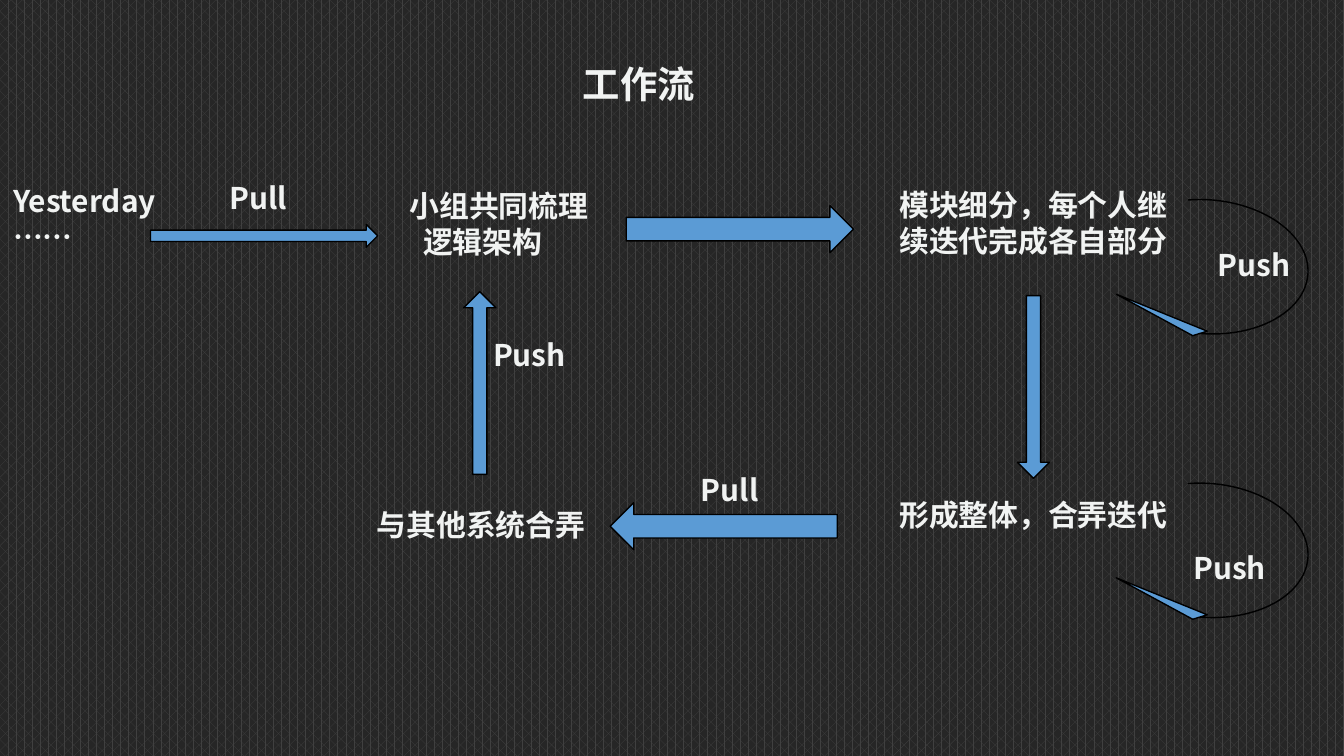
from lxml import etree
from pptx import Presentation
from pptx import util as u
from pptx.dml import color
from pptx.enum import dml, shapes, text
from pptx.oxml import ns

COLORS = {"text": "F1F3F2", "arrow": "5B9BD5", "outline": "000000",
          "weave": "404040", "ground": "262626"}
FONT = "Noto Sans CJK SC"
LABEL_WIDTH = 2.26
ONE_LINE, TWO_LINES = 0.37, 0.64
LOOP_ADJUSTMENTS = (0, 40.587, 0.645, 96.427, 0.051)
SLIM_ADJUSTMENTS = (0.442, 0.5)


def rgb(name):
    return color.RGBColor.from_string(COLORS[name])


def add_text(page, left, top, lines, width=LABEL_WIDTH, height=ONE_LINE, size=16,
             centred=True, middle=False, indents=()):
    box = page.shapes.add_textbox(*map(u.Inches, (left, top, width, height)))
    frame = box.text_frame
    frame.word_wrap = True
    frame.auto_size = text.MSO_AUTO_SIZE.NONE if middle else text.MSO_AUTO_SIZE.SHAPE_TO_FIT_TEXT
    frame.vertical_anchor = text.MSO_ANCHOR.MIDDLE if middle else text.MSO_ANCHOR.TOP
    for index, line in enumerate(lines):
        para = frame.add_paragraph() if index else frame.paragraphs[0]
        para.alignment = text.PP_ALIGN.CENTER if centred else text.PP_ALIGN.LEFT
        if index < len(indents):
            para._p.get_or_add_pPr().set("marL", str(u.Inches(indents[index])))
        span = para.add_run()
        span.text = line
        span.font.name = FONT
        span.font.size = u.Pt(size)
        span.font.bold = True
        span.font.color.rgb = rgb("text")
        etree.SubElement(span._r.get_or_add_rPr(), ns.qn("a:ea")).set("typeface", FONT)


def add_arrow(page, left, top, width, height, rotation=0, adjustments=(),
              kind=shapes.MSO_SHAPE.RIGHT_ARROW):
    arrow = page.shapes.add_shape(kind, *map(u.Inches, (left, top, width, height)))
    arrow.shadow.inherit = False
    arrow.rotation = rotation
    for index, value in enumerate(adjustments):
        arrow.adjustments[index] = value
    arrow.fill.solid()
    arrow.fill.fore_color.rgb = rgb("arrow")
    arrow.line.color.rgb = rgb("outline")
    arrow.line.width = u.Pt(0.75)


def paint_background(page):
    fill = page.background.fill
    fill.patterned()
    fill.pattern = dml.MSO_PATTERN.PERCENT_60
    fill.fore_color.rgb = rgb("weave")
    fill.back_color.rgb = rgb("ground")


def add_start(page, left, top):
    add_text(page, left, top, ["Yesterday", "……"], height=TWO_LINES, centred=False)
    add_arrow(page, left + 1.12, top + 0.36, 1.69, 0.17)
    add_text(page, left + 1.61, top - 0.02, ["Pull"], centred=False)


def add_cycle(page, left, top):
    add_text(page, left + 0.5, top + 0.01, ["小组共同梳理", "逻辑架构"],
             height=TWO_LINES, centred=False, indents=(0, 0.1))
    add_text(page, left + 4.11, top, ["模块细分，每个人继续迭代完成各自部分"], height=TWO_LINES)
    add_text(page, left + 4.11, top + 2.31, ["形成整体，合弄迭代"])
    add_text(page, left, top + 2.38, ["与其他系统合弄"])
    add_arrow(page, left + 2.21, top + 0.19, 1.69, 0.35)
    add_arrow(page, left + 4.56, top + 1.42, 1.36, 0.24, 90, SLIM_ADJUSTMENTS)
    add_arrow(page, left + 2.09, top + 2.4, 1.69, 0.35, 180)
    add_arrow(page, left + 0.44, top + 1.39, 1.36, 0.24, 270, SLIM_ADJUSTMENTS)
    add_text(page, left + 1.85, top + 2.12, ["Pull"])
    add_text(page, left + 0.36, top + 1.12, ["Push"])


def add_push_loop(page, left, top, label_left, label_top):
    add_arrow(page, left, top, 1.11, 1.63, 94.3, LOOP_ADJUSTMENTS,
              shapes.MSO_SHAPE.CIRCULAR_ARROW)
    add_text(page, left + label_left, top + label_top, ["Push"])


def build_workflow(deck):
    page = deck.slides.add_slide(deck.slide_layouts[6])
    paint_background(page)
    add_text(page, 3.32, 0.19, ["工作流"], width=2.87, height=0.86, size=20, middle=True)
    add_cycle(page, 2.45, 1.34)
    add_start(page, 0, 1.31)
    add_push_loop(page, 8.42, 1.17, -0.22, 0.62)
    add_push_loop(page, 8.42, 3.28, -0.4, 0.76)


deck = Presentation()
deck.slide_width = u.Inches(10)
deck.slide_height = deck.slide_width * 9 // 16
build_workflow(deck)
deck.save("out.pptx")
